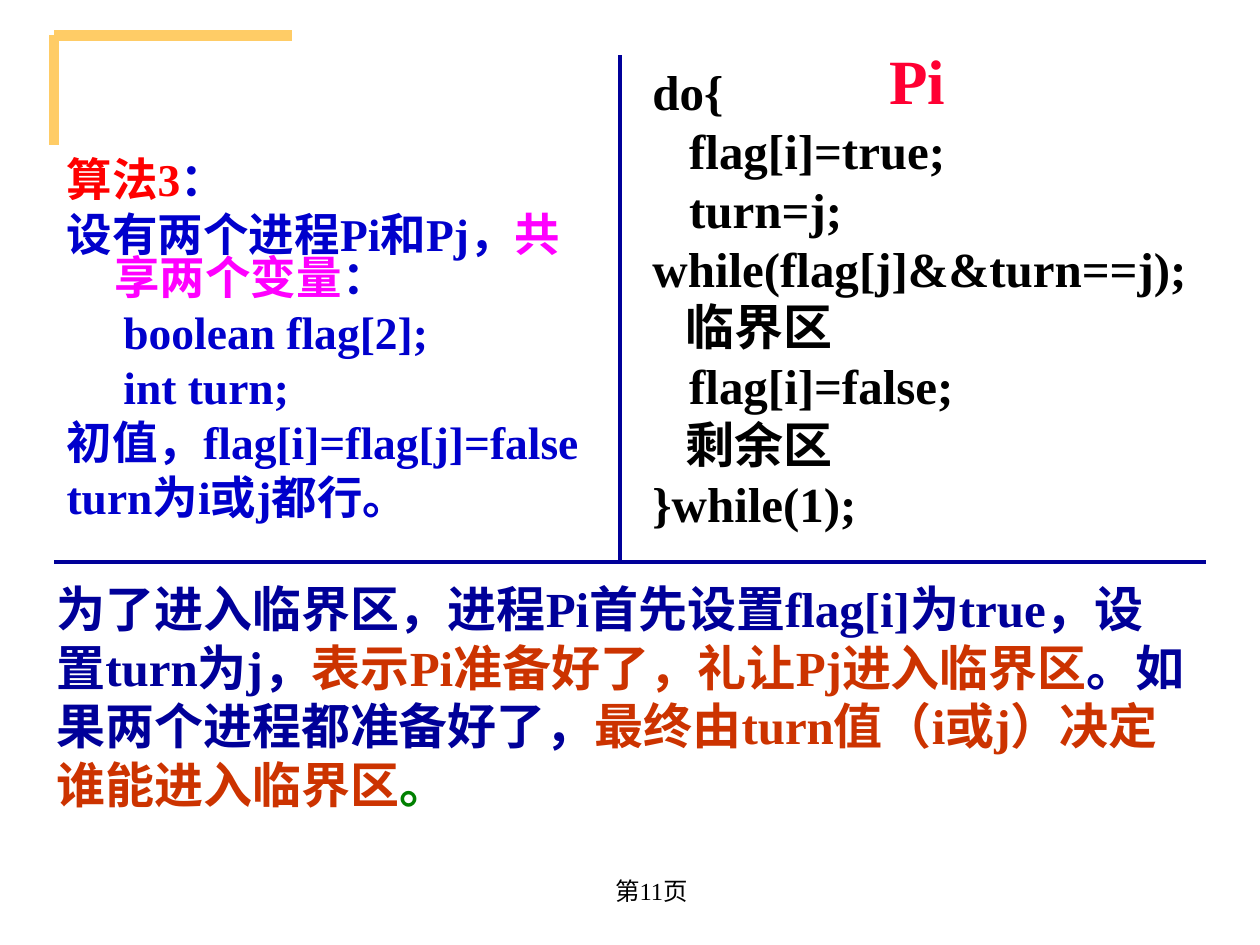
from pptx import Presentation
from pptx.dml.color import RGBColor
from pptx.enum.shapes import MSO_CONNECTOR
from pptx.enum.text import MSO_ANCHOR, PP_ALIGN
from pptx.oxml.ns import qn
from pptx.util import Inches, Pt
from lxml import etree

FONT = "Times New Roman"
BLACK, RED, ROSE, MAGENTA = "000000", "FF0000", "FF0033", "FF00FF"
BLUE, NAVY, RUST, GREEN, GOLD = "0000CC", "000099", "CC3300", "008000", "FFCC66"

ALGORITHM = [
    [("算法3", RED), ("：", BLUE)],
    [("设有两个进程Pi和Pj，", BLUE), ("共享两个变量", MAGENTA), ("：", BLUE)],
    [("     boolean flag[2];", BLUE)],
    [("     int turn;", BLUE)],
    [("初值，flag[i]=flag[j]=false", BLUE)],
    [("turn为i或j都行。", BLUE)],
]
CODE = [
    "do{",
    "   flag[i]=true;",
    "   turn=j;",
    "while(flag[j]&&turn==j);",
    "   临界区",
    "   flag[i]=false;",
    "   剩余区",
    "}while(1);",
]
EXPLANATION = [[
    ("为了进入临界区，进程Pi首先设置flag[i]为true，设置turn为j，", NAVY),
    ("表示Pi准备好了，礼让Pj进入临界区", RUST),
    ("。如果两个进程都准备好了，", NAVY),
    ("最终由turn值（i或j）决定谁能进入临界区", RUST),
    ("。", GREEN),
]]


def color(hex_string):
    return RGBColor.from_string(hex_string)


def add_rule(slide, start, end, hex_string, width):
    points = [Inches(value) for value in (*start, *end)]
    rule = slide.shapes.add_connector(MSO_CONNECTOR.STRAIGHT, *points)
    rule.line.color.rgb = color(hex_string)
    rule.line.width = Pt(width)
    etree.SubElement(rule._element.spPr, qn("a:effectLst"))


def add_text(slide, box, paragraphs, size, bold=True, anchor=MSO_ANCHOR.TOP,
             hanging=0, gap=0, **formats):
    frame = slide.shapes.add_textbox(*map(Inches, box)).text_frame
    frame.word_wrap = True
    frame.vertical_anchor = anchor
    for index, runs in enumerate(paragraphs):
        paragraph = frame.paragraphs[0] if index == 0 else frame.add_paragraph()
        for name, value in formats.items():
            setattr(paragraph, name, value)
        if index and gap:
            paragraph.space_before = Pt(gap)
        if hanging:
            properties = paragraph._p.get_or_add_pPr()
            properties.set("marL", str(Inches(hanging)))
            properties.set("indent", str(-Inches(hanging)))
        for text, hex_string in runs:
            run = paragraph.add_run()
            run.text = text
            run.font.color.rgb = color(hex_string)
            for name, value in {"name": FONT, "size": Pt(size), "bold": bold}.items():
                setattr(run.font, name, value)


def main():
    deck = Presentation()
    deck.slide_width, deck.slide_height = Inches(10), Inches(7.5)
    slide = deck.slides.add_slide(deck.slide_layouts[6])

    for corner_end in ((2.32, 0.28), (0.43, 1.15)):
        add_rule(slide, (0.43, 0.28), corner_end, GOLD, 6)

    add_text(slide, (4.13, 6.82, 2.08, 0.5), [[("第11页", BLACK)]], 14, bold=False,
             anchor=MSO_ANCHOR.MIDDLE, alignment=PP_ALIGN.CENTER)
    add_text(slide, (0.43, 1.23, 4.41, 3.31), ALGORITHM, 26,
             hanging=0.38, gap=6.5, line_spacing=0.8)
    add_text(slide, (5.08, 0.44, 4.68, 3.84), [[(line, BLACK)] for line in CODE], 28)
    add_text(slide, (0.35, 4.54, 9.21, 1.97), EXPLANATION, 28)
    add_text(slide, (6.65, 0.28, 1.26, 0.7), [[("Pi", ROSE)]], 36,
             alignment=PP_ALIGN.CENTER)

    add_rule(slide, (0.43, 4.46), (9.57, 4.46), NAVY, 2.25)
    add_rule(slide, (4.92, 4.46), (4.92, 0.44), NAVY, 2.25)

    deck.save("out.pptx")


if __name__ == "__main__":
    main()
